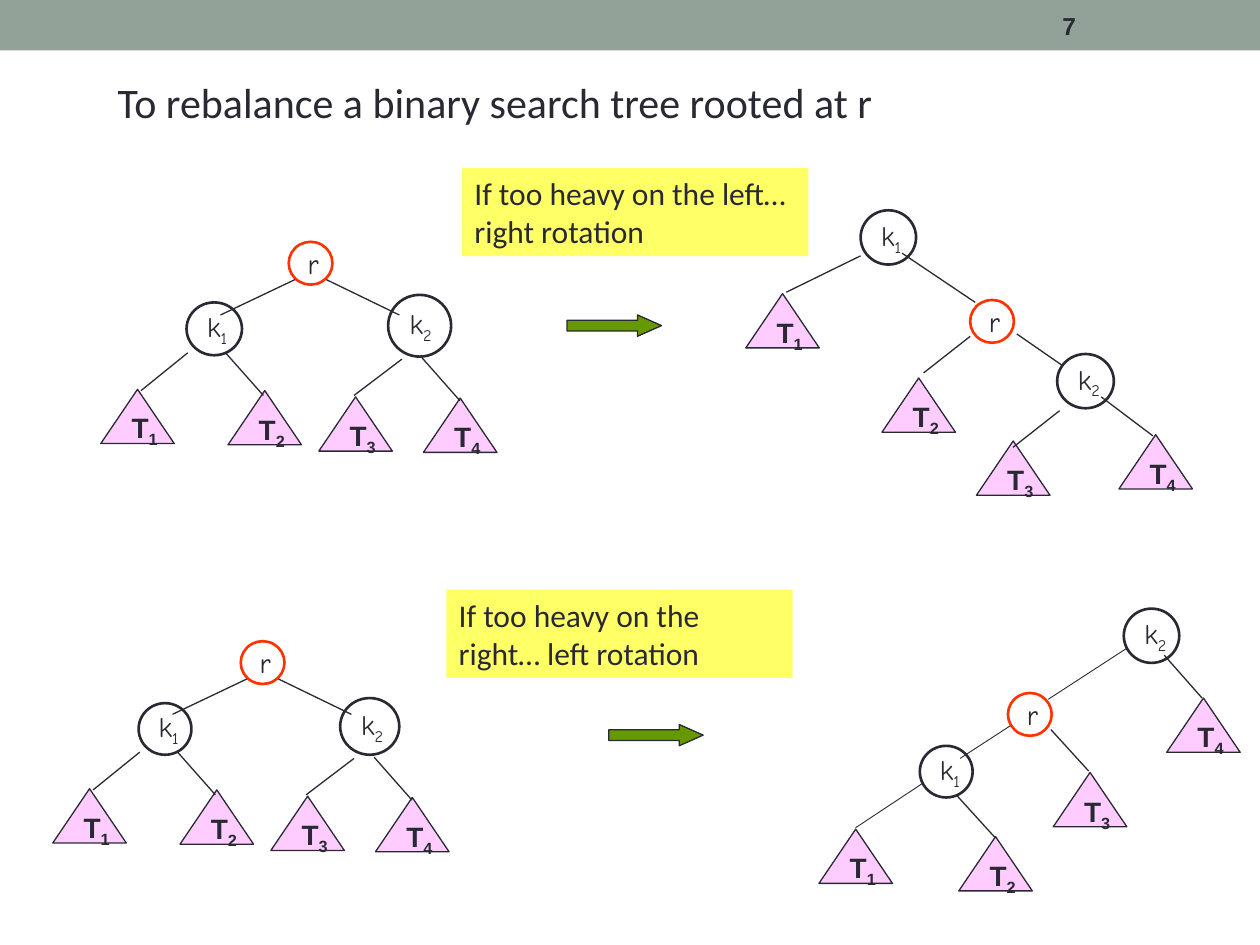
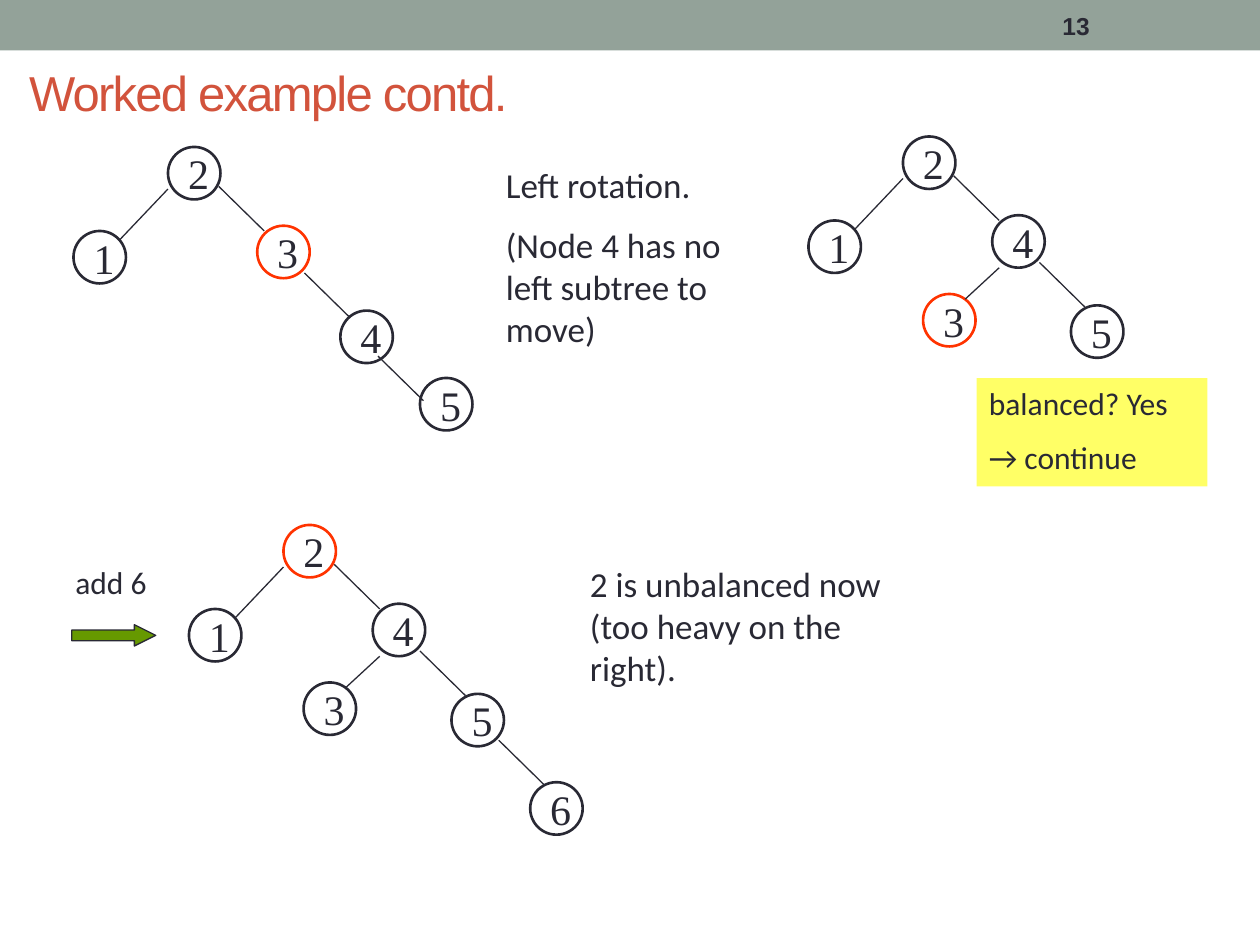
from lxml.etree import SubElement
from pptx import Presentation
from pptx.dml.color import RGBColor
from pptx.enum.shapes import MSO_CONNECTOR as Connector, MSO_SHAPE as Preset
from pptx.enum.text import MSO_ANCHOR as Anchor, MSO_AUTO_SIZE as AutoSize, PP_ALIGN as Align
from pptx.oxml.ns import qn
from pptx.util import Pt

INK, RED, BAND, TITLE_RED = "292934", "FF3300", "93A299", "D2533C"
YELLOW, PINK, GREEN = "FFFF66", "FFCCFF", "669900"
SANS, BODY, HAND, SERIF = "Arial", "Calibri", "Comic Neue", "Times New Roman"

ROOT_SIZE, SUBTREE_SIZE, NUMBER_SIZE = (25, 24.5), (42, 31), (30, 30)
RIGHT_EDGE = (26, 25.5)

UNBALANCED_NODES = [
    ("r", 165, 138.2), ("T1", 57.6, 222.5), ("T2", 130.3, 223.2),
    ("T3", 182.2, 226.8), ("T4", 242, 227.5),
]
UNBALANCED_EDGES = [
    (168.5, 159.8, 126, 180), (186.5, 159.8, 228.2, 180),
    (128.9, 201.6, 150.5, 226), (107.3, 201.6, 80.6, 223.2),
    (229.7, 205.2, 202.3, 226), (241.2, 204.5, 262.8, 229),
]
ROTATION_TREES = [
    {"origin": (0, 0), "edges": UNBALANCED_EDGES, "nodes": UNBALANCED_NODES + [
        ("k1", 106.6, 172.8, 31.7, 30.2), ("k2", 221.8, 168.5, 36, 35.3)]},
    {"origin": (-27.4, 228.2), "edges": UNBALANCED_EDGES, "nodes": UNBALANCED_NODES + [
        ("k1", 106.6, 173.6, 30.2, 29.5), ("k2", 221.8, 170.7, 33.8, 32.4)]},
    {"origin": (0, 0), "nodes": [
        ("k1", 491.8, 120.2, 31.7, 31), ("r", 554.4, 171.4), ("k2", 604.1, 202.3, 32.4, 31),
        ("T1", 426.2, 167.8), ("T2", 504, 216), ("T3", 558, 252), ("T4", 639.4, 248.4)],
     "edges": [
        (491.8, 146.2, 449.3, 167), (554.4, 192.2, 527.8, 213.1),
        (605.5, 234.7, 578.9, 255.6), (515.5, 144.7, 557.3, 172.8),
        (581, 190.8, 607, 208.8), (629.3, 226.8, 658.8, 249.1)]},
    {"origin": (0, 0), "nodes": [
        ("k2", 642.2, 347.8, 31.7, 31), ("r", 576, 396), ("k1", 525.6, 426.2, 30.2, 29.5),
        ("T1", 468, 473.8), ("T2", 547.9, 478.1), ("T3", 601.9, 441.4), ("T4", 666.7, 398.9)],
     "edges": [
        (600.5, 416.9, 622.1, 440.6), (546.5, 454.3, 568.8, 478.8),
        (665.3, 374.4, 686.9, 398.9)],
     "thin_edges": [
        (488.9, 473, 527, 447.8), (548.6, 433.4, 577.4, 414.7),
        (599, 399.6, 644.4, 370.1)]},
]
ROTATION_NOTES = [
    (["If too heavy on the left…right rotation"], (264, 96, 198, 50.4), 18, YELLOW),
    (["If too heavy on the right… left rotation"], (255, 337, 198, 50.4), 18, YELLOW),
]
ROTATION_ARROWS = [(324, 180, 54, 12.2), (347.8, 414, 54, 12.2)]

TOP_SPOTS = [(0, 0), (-54, 48), (51, 45)]
BALANCED_SPOTS = TOP_SPOTS + [(11.5, 90), (96, 96.5)]
TOP_STARTS = [(29, 22.5), (78, 72)]
LEFT_EDGE, INNER_EDGE = (0, 24, -28, 53.5), (55, 75, 35.5, 93)
NUMBER_TREES = [
    {"origin": (96, 84), "labels": "21345", "red": "3",
     "spots": TOP_SPOTS + [(98.5, 93.5), (144, 132)],
     "starts": TOP_STARTS + [(120, 119.5)], "left": [LEFT_EDGE]},
    {"origin": (516, 78), "labels": "21435", "red": "3", "spots": BALANCED_SPOTS,
     "starts": TOP_STARTS, "left": [LEFT_EDGE, INNER_EDGE]},
    {"origin": (162, 300), "labels": "214356", "red": "2",
     "spots": BALANCED_SPOTS + [(141, 147)],
     "starts": TOP_STARTS + [(123, 123)], "left": [LEFT_EDGE, INNER_EDGE]},
]
EXAMPLE_NOTES = [
    (["Left rotation.", "(Node 4 has no left subtree to move)"], (282, 90, 168, 115), 20, None),
    (["balanced? Yes", "→ continue"], (558, 216, 132, 62), 18, YELLOW),
    (["add 6"], (36, 318, 72, 29), 18, None),
    (["2 is unbalanced now (too heavy on the right)."], (330, 318, 198, 79), 20, None),
]


def color(value):
    return RGBColor.from_string(value)


def add_span(para, text, size, font, tint=INK, bold=False):
    span = para.add_run()
    span.text = text
    span.font.size, span.font.name, span.font.bold = Pt(size), font, bold
    span.font.color.rgb = color(tint)
    return span


def draw_shape(page, preset, frame, fill=None, line=None, width=0.75):
    shape = page.shapes.add_shape(preset, *map(Pt, frame))
    shape.shadow.inherit = False
    if fill:
        shape.fill.solid()
        shape.fill.fore_color.rgb = color(fill)
    else:
        shape.fill.background()
    if line:
        shape.line.color.rgb = color(line)
        shape.line.width = Pt(width)
    else:
        shape.line.fill.background()
    return shape


def draw_node(page, label, frame, size, font, line=INK):
    if label.startswith("T"):
        node = draw_shape(page, Preset.ISOSCELES_TRIANGLE, frame, PINK, INK)
    else:
        node = draw_shape(page, Preset.OVAL, frame, None, line, 1.5)
    node.text_frame.word_wrap = False
    node.text_frame.vertical_anchor = Anchor.MIDDLE
    para = node.text_frame.paragraphs[0]
    para.alignment = Align.LEFT
    bold = font == SANS
    add_span(para, label[0], size, font, bold=bold)
    if label[1:]:
        index = add_span(para, label[1:], size, font, bold=bold)
        index.font._element.set("baseline", "-25000")


def draw_edge(page, origin, ends, width=0.75):
    x, y = origin
    x1, y1, x2, y2 = ends
    edge = page.shapes.add_connector(
        Connector.STRAIGHT, Pt(x + x1), Pt(y + y1), Pt(x + x2), Pt(y + y2))
    edge.line.color.rgb = color(INK)
    edge.line.width = Pt(width)
    SubElement(edge._element.spPr, qn("a:effectLst"))


def draw_arrow(page, frame, head):
    arrow = draw_shape(page, Preset.RIGHT_ARROW, frame, GREEN, INK)
    arrow.adjustments[1] = head


def draw_note(page, lines, frame, size, fill):
    box = page.shapes.add_textbox(*map(Pt, frame))
    if fill:
        box.fill.solid()
        box.fill.fore_color.rgb = color(fill)
    text = box.text_frame
    text.word_wrap = True
    text.auto_size = AutoSize.SHAPE_TO_FIT_TEXT
    for position, line in enumerate(lines):
        para = text.add_paragraph() if position else text.paragraphs[0]
        para.space_before = Pt(size / 2 if position else 0)
        add_span(para, line, size, BODY)


def start_page(deck, number, title, frame, size, font, tint, anchor):
    page = deck.slides.add_slide(deck.slide_layouts[5])
    draw_shape(page, Preset.RECTANGLE, (0, 0, 720, 28.8), BAND)
    heading = page.shapes.title
    heading.left, heading.top, heading.width, heading.height = map(Pt, frame)
    text = heading.text_frame
    text.auto_size, text.word_wrap, text.vertical_anchor = AutoSize.NONE, True, anchor
    para = text.paragraphs[0]
    para.alignment = Align.LEFT
    span = add_span(para, title, size, font, tint)
    box = page.shapes.add_textbox(Pt(600), Pt(1.5), Pt(84), Pt(26))
    box.text_frame.vertical_anchor = Anchor.MIDDLE
    box.text_frame.word_wrap = True
    add_span(box.text_frame.paragraphs[0], number, 14, SANS, bold=True)
    return page, span


def draw_rotation_tree(page, tree):
    x, y = tree["origin"]
    for label, left, top, *size in tree["nodes"]:
        kind = label[0]
        size = size or (ROOT_SIZE if kind == "r" else SUBTREE_SIZE)
        draw_node(page, label, (x + left, y + top, *size), 16,
                  SANS if kind == "T" else HAND, RED if kind == "r" else INK)
    for ends in tree["edges"]:
        draw_edge(page, (x, y), ends)
    for ends in tree.get("thin_edges", []):
        draw_edge(page, (x, y), ends, 0.5)


def draw_number_tree(page, tree):
    x, y = tree["origin"]
    for label, (left, top) in zip(tree["labels"], tree["spots"]):
        draw_node(page, label, (x + left, y + top, *NUMBER_SIZE), 24, SERIF,
                  RED if label == tree["red"] else INK)
    run, drop = RIGHT_EDGE
    right = [(left, top, left + run, top + drop) for left, top in tree["starts"]]
    for ends in tree["left"] + right:
        draw_edge(page, (x, y), ends)


def build_rotations(deck):
    page, _ = start_page(deck, "7", "To rebalance a binary search tree rooted at r",
                         (60, 40, 552, 36), 24, BODY, INK, Anchor.TOP)
    for note in ROTATION_NOTES:
        draw_note(page, *note)
    for tree in ROTATION_TREES:
        draw_rotation_tree(page, tree)
    for frame in ROTATION_ARROWS:
        draw_arrow(page, frame, 1.125)


def build_example(deck):
    page, span = start_page(deck, "13", "Worked example contd.",
                            (9.4, 21, 648, 62.6), 28, SANS, TITLE_RED, Anchor.MIDDLE)
    span.font._element.set("spc", "-100")
    for tree in NUMBER_TREES:
        draw_number_tree(page, tree)
    for note in EXAMPLE_NOTES:
        draw_note(page, *note)
    draw_arrow(page, (41, 357, 48, 12.2), 1)


def main():
    deck = Presentation()
    deck.slide_width, deck.slide_height = Pt(720), Pt(540)
    build_rotations(deck)
    build_example(deck)
    deck.save("out.pptx")


if __name__ == "__main__":
    main()
